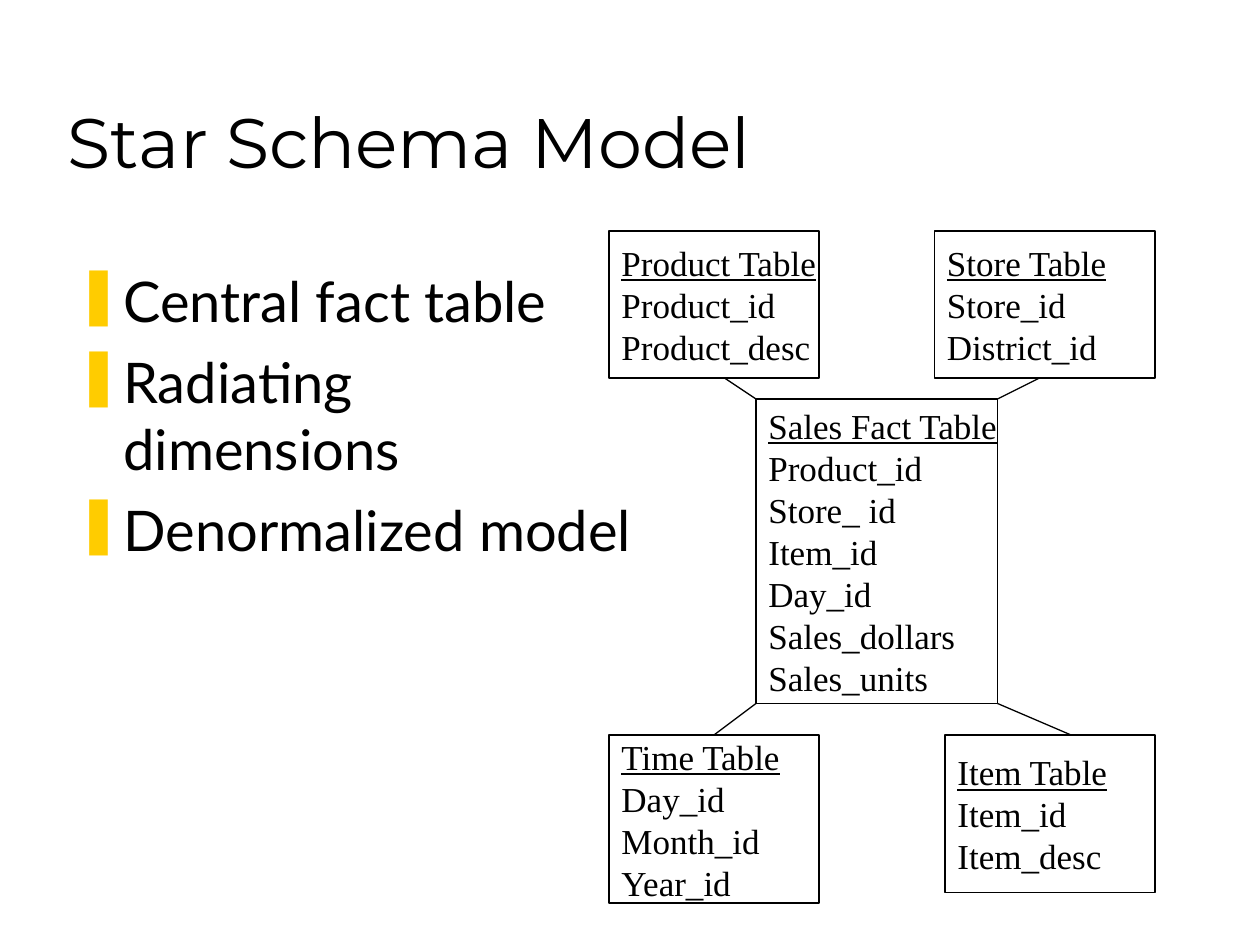
from dataclasses import dataclass

from lxml.etree import SubElement
from pptx import Presentation
from pptx.dml.color import RGBColor
from pptx.enum.shapes import MSO_CONNECTOR, MSO_SHAPE
from pptx.enum.text import MSO_ANCHOR, PP_ALIGN
from pptx.oxml.ns import qn
from pptx.util import Inches, Pt


@dataclass(frozen=True)
class Theme:
    ink: RGBColor = RGBColor(0, 0, 0)
    bullet: str = "FFCC00"
    title: tuple = ("Montserrat", Pt(40))
    body: tuple = ("Lato", Pt(32))
    table: tuple = ("Times New Roman", Pt(20))
    line: int = Pt(0.75)


theme = Theme()
CELL = Inches(1) // 12  # the page is a grid of 120 columns by 90 rows


def grid(*cells):
    return [round(cell * CELL) for cell in cells]


def write_lines(frame, lines, style):
    for number, line in enumerate(lines):
        para = frame.add_paragraph() if number else frame.paragraphs[0]
        para.text = line
        para.alignment = PP_ALIGN.LEFT
        para.font.name, para.font.size = style
        para.font.color.rgb = theme.ink


deck = Presentation()
deck.slide_width, deck.slide_height = grid(120, 90)
page = deck.slides.add_slide(deck.slide_layouts[6])

title = page.shapes.add_textbox(*grid(5.25, 3, 102, 15)).text_frame
title.word_wrap = True
title.vertical_anchor = MSO_ANCHOR.BOTTOM
write_lines(title, ["Star Schema Model"], theme.title)

points = page.shapes.add_textbox(*grid(6, 24.75, 56, 46.25)).text_frame
points.word_wrap = True
write_lines(points, ["Central fact table", "Radiating dimensions", "Denormalized model"], theme.body)
indent = Inches(0.38)
for para in points.paragraphs:
    para.space_before = Pt(8)
    properties = para._p.get_or_add_pPr()
    properties.set("marL", str(indent))
    properties.set("indent", str(-indent))
    colour = SubElement(properties, qn("a:buClr"))
    SubElement(colour, qn("a:srgbClr")).set("val", theme.bullet)
    SubElement(properties, qn("a:buChar")).set("char", "❚")

# Each table: left, top, width, height in cells, then its heading and fields
tables = [
    ((72, 38, 23, 29), ["Sales Fact Table", "Product_id", "Store_ id", "Item_id",
                        "Day_id", "Sales_dollars", "Sales_units"]),
    ((58, 22, 20, 14), ["Product Table", "Product_id", "Product_desc"]),
    ((89, 22, 21, 14), ["Store Table", "Store_id", "District_id"]),
    ((58, 70, 20, 16), ["Time Table", "Day_id", "Month_id", "Year_id"]),
    ((90, 70, 20, 15), ["Item Table", "Item_id", "Item_desc"]),
]
for place, lines in tables:
    box = page.shapes.add_shape(MSO_SHAPE.RECTANGLE, *grid(*place))
    box.shadow.inherit = False
    box.fill.background()
    box.line.color.rgb = theme.ink
    box.line.width = theme.line
    frame = box.text_frame
    frame.word_wrap = False
    frame.vertical_anchor = MSO_ANCHOR.MIDDLE
    write_lines(frame, lines, theme.table)
    frame.paragraphs[0].font.underline = True

# Rays from the corners of the fact table to the dimension tables
left, top, width, height = tables[0][0]
right, bottom = left + width, top + height
rays = [(left, top, 69, 36), (right, top, 99, 36),
        (left, bottom, 68, 70), (right, bottom, 102, 70)]
for ray in rays:
    connector = page.shapes.add_connector(MSO_CONNECTOR.STRAIGHT, *grid(*ray))
    connector.line.color.rgb = theme.ink
    connector.line.width = theme.line
    SubElement(connector._element.spPr, qn("a:effectLst"))

deck.save("out.pptx")
